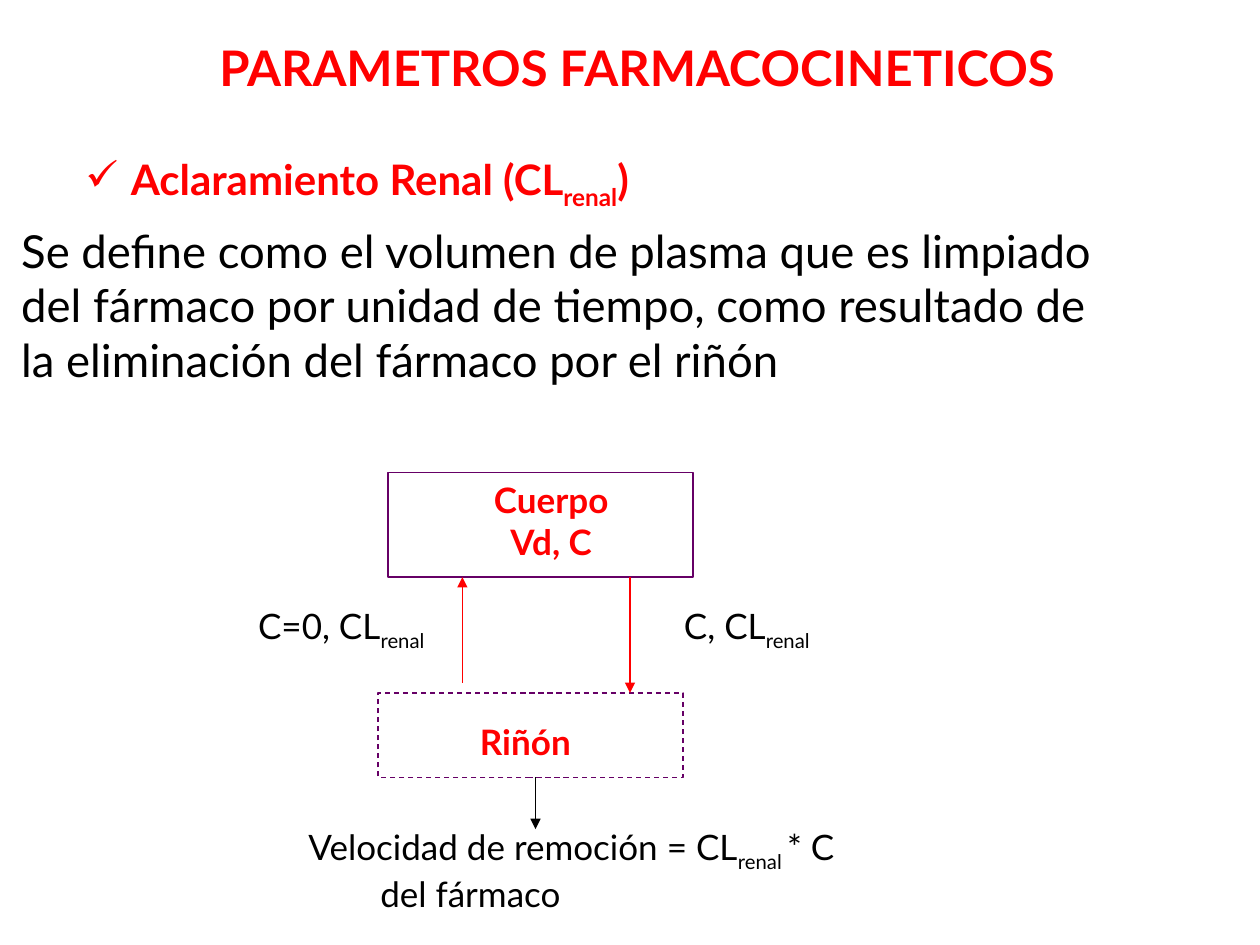
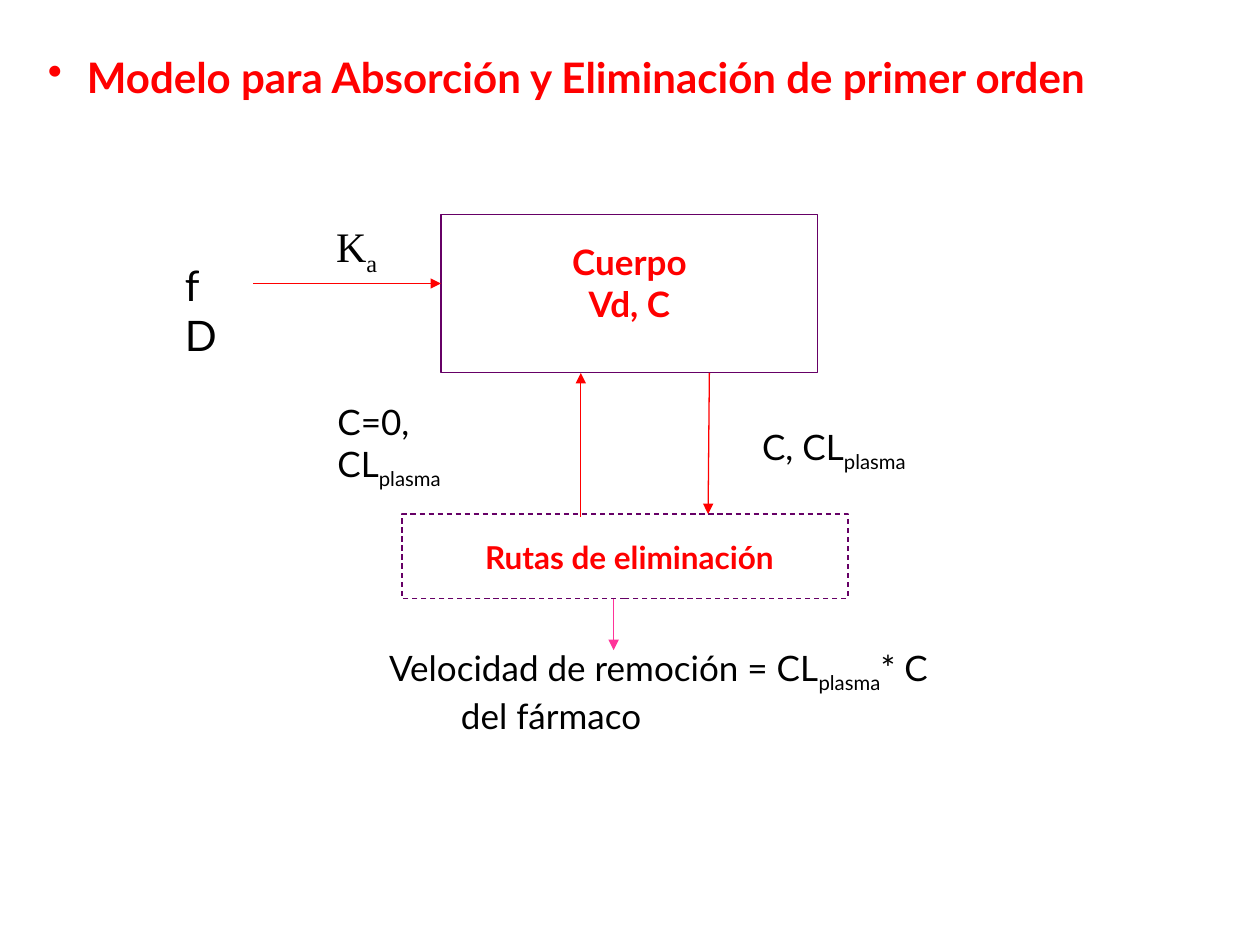
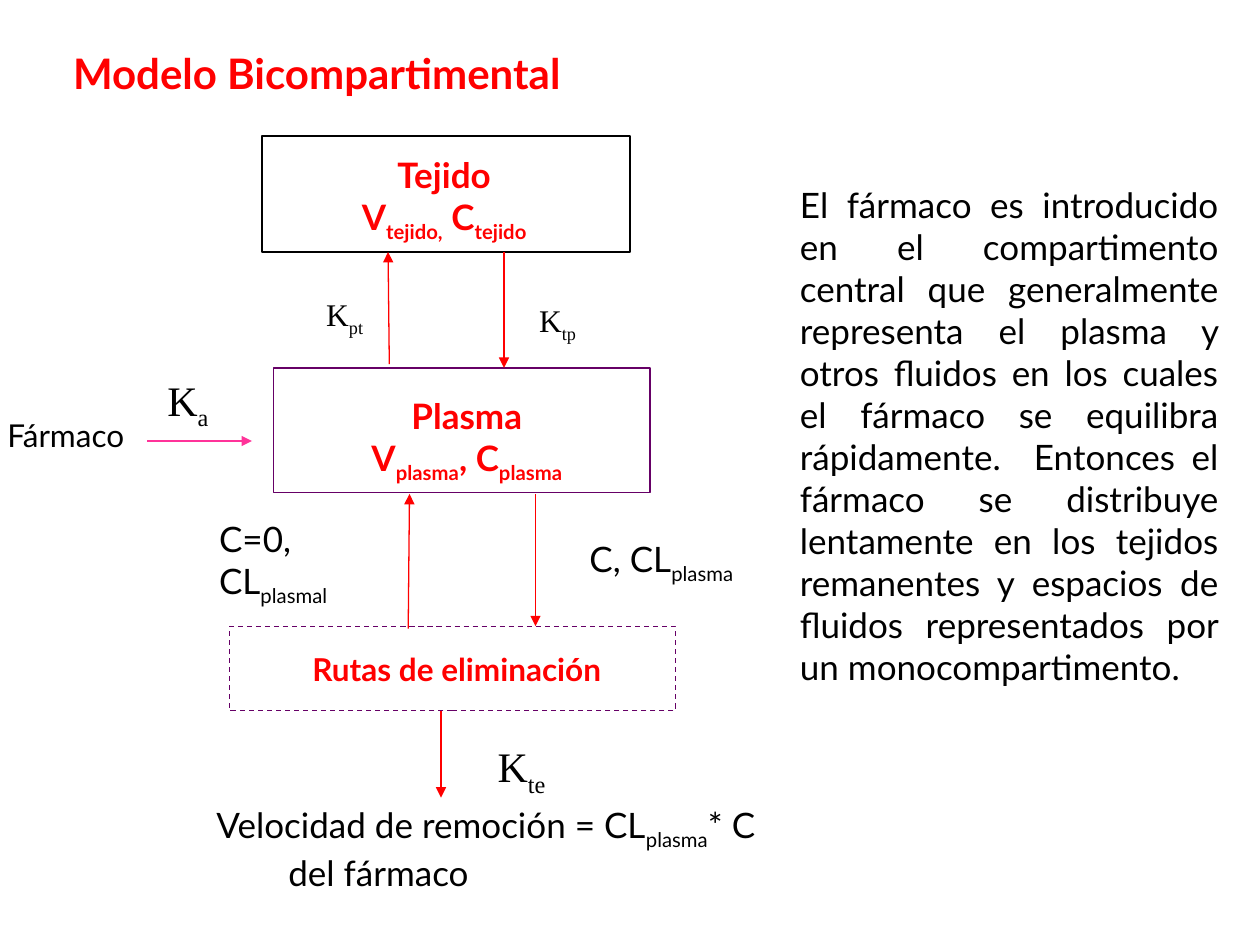
from lxml.etree import SubElement
from pptx import Presentation
from pptx.dml.color import RGBColor
from pptx.enum.dml import MSO_LINE
from pptx.enum.shapes import MSO_CONNECTOR, MSO_SHAPE
from pptx.enum.text import MSO_ANCHOR, MSO_AUTO_SIZE, PP_ALIGN as Align
from pptx.oxml.ns import qn
from pptx.util import Inches, Pt

RED = RGBColor(0xFF, 0x00, 0x00)
PINK = RGBColor(0xFF, 0x33, 0x99)
PURPLE = RGBColor(0x66, 0x00, 0x66)
BLACK = RGBColor(0x00, 0x00, 0x00)
SANS, SERIF = "Lato", "Times New Roman"

# Text styles: font, size, colour, bold, alignment
STYLES = {
    "main": (SANS, 28, RED, True, Align.LEFT),
    "head": (SANS, 24, RED, True, Align.LEFT),
    "lead": (SANS, 26, BLACK, False, Align.LEFT),
    "box": (SANS, 20, RED, True, Align.CENTER),
    "route": (SANS, 18, RED, True, Align.CENTER),
    "note": (SANS, 20, BLACK, False, Align.LEFT),
    "body": (SANS, 20, BLACK, False, Align.JUSTIFY),
    "dose": (SANS, 24, BLACK, False, Align.LEFT),
    "drug": (SANS, 18, BLACK, False, Align.LEFT),
    "rate": (SERIF, 24, BLACK, False, Align.LEFT),
    "flow": (SERIF, 18, BLACK, False, Align.LEFT),
}

# Subscripts stand in square brackets.
# title: text, style, place, bullet and its indent
# boxes: place, line colour, dashed; arrows: start, end, colour
# labels: style, place, lines; speed: left, top, width, subscript
SLIDES = [
    {
        "title": ("PARAMETROS FARMACOCINETICOS", "main",
                  (1.64, 0.25, 6.93, 0.57), None),
        "boxes": [((3.08, 3.75, 2.42, 0.83), PURPLE, False),
                  ((3, 5.5, 2.42, 0.67), PURPLE, True)],
        "arrows": [((5, 4.58), (5, 5.5), RED),
                   ((3.67, 5.42), (3.67, 4.58), RED),
                   ((4.25, 6.17), (4.25, 6.58), BLACK)],
        "labels": [
            ("head", (0.58, 1.17, 5.06, 0.56),
             ["Aclaramiento Renal (CL[renal])"], ("✓", 0.36)),
            ("lead", (0.07, 1.72, 9.51, 1.4),
             ["Se define como el volumen de plasma que es limpiado",
              "del fármaco por unidad de tiempo, como resultado de",
              "la eliminación del fármaco por el riñón"]),
            ("box", (3.67, 5.67, 1, 0.44), ["Riñón"]),
            ("box", (3.75, 3.75, 1.25, 0.77), ["Cuerpo", "Vd, C"]),
            ("note", (5.33, 4.75, 1.58, 0.48), ["C, CL[renal]"]),
            ("note", (1.95, 4.75, 1.6, 0.48), ["C=0, CL[renal]"]),
        ],
        "speed": (2.35, 6.5, 4.64, "renal "),
    },
    {
        "title": ("Modelo para Absorción y Eliminación de primer orden",
                  "head", (0.28, 0.36, 9.33, 0.5), ("•", 0.31)),
        "boxes": [((3.5, 1.7, 2.99, 1.26), PURPLE, False),
                  ((3.19, 4.08, 3.54, 0.67), PURPLE, True)],
        "arrows": [((5.63, 2.96), (5.62, 4.08), RED),
                   ((4.61, 4.1), (4.61, 2.96), RED),
                   ((4.87, 4.75), (4.87, 5.16), PINK),
                   ((2.01, 2.25), (3.5, 2.25), RED)],
        "labels": [
            ("route", (3.59, 4.22, 2.81, 0.4), ["Rutas de eliminación"]),
            ("box", (4.37, 1.86, 1.25, 0.77), ["Cuerpo", "Vd, C"]),
            ("note", (5.95, 3.33, 1.58, 0.48), ["C, CL[plasma]"]),
            ("note", (2.58, 3.13, 1.8, 1.19), ["C=0,", "CL[plasma]"]),
            ("rate", (2.57, 1.7, 0.6, 0.56), ["K[a]"]),
            ("dose", (1.37, 2.01, 0.64, 0.5), ["f D"]),
        ],
        "speed": (2.99, 5.08, 4.76, "plasma"),
    },
    {
        "title": ("Modelo Bicompartimental", "head",
                  (0.48, 0.33, 4.55, 0.5), None),
        "boxes": [((2.17, 2.92, 2.99, 0.99), PURPLE, False),
                  ((1.82, 4.97, 3.54, 0.67), PURPLE, True),
                  ((2.08, 1.08, 2.92, 0.92), BLACK, False)],
        "arrows": [((4.25, 3.92), (4.25, 4.97), RED),
                   ((3.24, 4.99), (3.25, 3.92), RED),
                   ((3.5, 5.64), (3.5, 6.33), RED),
                   ((3.09, 2.89), (3.08, 2), RED),
                   ((4, 2), (4, 2.92), RED),
                   ((1.17, 3.5), (2, 3.5), PINK)],
        "labels": [
            ("route", (2.22, 5.11, 2.81, 0.4), ["Rutas de eliminación"]),
            ("box", (2.33, 3.08, 2.75, 0.82),
             ["Plasma", "V[plasma], C[plasma]"]),
            ("box", (2.72, 1.17, 1.61, 0.82),
             ["Tejido", "V[tejido,] C[tejido]"]),
            ("note", (4.58, 4.22, 1.58, 0.48), ["C, CL[plasma]"]),
            ("note", (1.64, 4.06, 1.48, 0.82), ["C=0, CL[plasmal]"]),
            ("rate", (1.23, 2.92, 0.6, 0.56), ["K[a]"]),
            ("rate", (3.85, 5.83, 0.65, 0.56), ["K[te]"]),
            ("flow", (2.49, 2.29, 0.55, 0.44), ["K[pt]"]),
            ("flow", (4.18, 2.34, 0.55, 0.44), ["K[tp]"]),
            ("drug", (-0.04, 3.25, 1.22, 0.4), ["Fármaco"]),
            ("body", (6.25, 1.41, 3.52, 4.77),
             ["El fármaco es introducido en el compartimento central que "
              "generalmente representa el plasma y otros fluidos en los "
              "cuales el fármaco se equilibra rápidamente.  Entonces el "
              "fármaco se distribuye lentamente en los tejidos remanentes "
              "y espacios de fluidos representados por un "
              "monocompartimento."]),
        ],
        "speed": (1.62, 6.33, 4.76, "plasma"),
    },
]


def indent(para, left, first=0):
    props = para._p.get_or_add_pPr()
    props.set("marL", str(Inches(left)))
    props.set("indent", str(Inches(first)))
    return props


def add_bullet(para, mark, gap):
    props = indent(para, gap, -gap)
    tint = SubElement(props, qn("a:buClr"))
    SubElement(tint, qn("a:srgbClr"), val=str(RED))
    SubElement(props, qn("a:buChar"), char=mark)


def write(frame, lines, style, bullet=None):
    name, size, color, bold, align = STYLES[style]
    frame.word_wrap = True
    frame.auto_size = MSO_AUTO_SIZE.NONE
    frame.vertical_anchor = MSO_ANCHOR.TOP
    for i, line in enumerate(lines):
        para = frame.paragraphs[0] if i == 0 else frame.add_paragraph()
        if bullet:
            add_bullet(para, *bullet)
        para.alignment = align
        font = para.font
        font.name, font.size, font.bold = name, Pt(size), bold
        font.color.rgb = color
        # Every second part is a subscript
        for j, part in enumerate(line.replace("]", "[").split("[")):
            if part:
                run = para.add_run()
                run.text = part
                if j % 2:
                    run.font._element.set("baseline", "-25000")


def add_label(slide, style, place, lines, bullet=None):
    box = slide.shapes.add_textbox(*map(Inches, place))
    write(box.text_frame, lines, style, bullet)
    return box.text_frame


def add_title(slide, text, style, place, bullet):
    title = slide.shapes.title
    title.left, title.top, title.width, title.height = map(Inches, place)
    write(title.text_frame, [text], style, bullet)


def add_box(slide, place, color, dashed):
    box = slide.shapes.add_shape(MSO_SHAPE.RECTANGLE, *map(Inches, place))
    box.shadow.inherit = False
    box.fill.background()
    box.line.color.rgb = color
    box.line.width = Pt(0.75)
    if dashed:
        box.line.dash_style = MSO_LINE.DASH


def add_arrow(slide, start, end, color):
    arrow = slide.shapes.add_connector(
        MSO_CONNECTOR.STRAIGHT, *map(Inches, start + end))
    arrow.line.color.rgb = color
    arrow.line.width = Pt(0.75)
    SubElement(arrow.line._get_or_add_ln(), qn("a:tailEnd"), type="triangle")
    SubElement(arrow._element.spPr, qn("a:effectLst"))


def add_speed(slide, left, top, width, sub):
    lines = [f"Velocidad de remoción = CL[{sub}]* C", "del fármaco"]
    frame = add_label(slide, "note", (left, top, width, 0.82), lines)
    indent(frame.paragraphs[1], 0.57)


def main():
    deck = Presentation()
    deck.slide_width, deck.slide_height = Inches(10), Inches(7.5)
    for data in SLIDES:
        slide = deck.slides.add_slide(deck.slide_layouts[5])
        add_title(slide, *data["title"])
        for box in data["boxes"]:
            add_box(slide, *box)
        for arrow in data["arrows"]:
            add_arrow(slide, *arrow)
        for label in data["labels"]:
            add_label(slide, *label)
        add_speed(slide, *data["speed"])
    deck.save("out.pptx")


if __name__ == "__main__":
    main()
